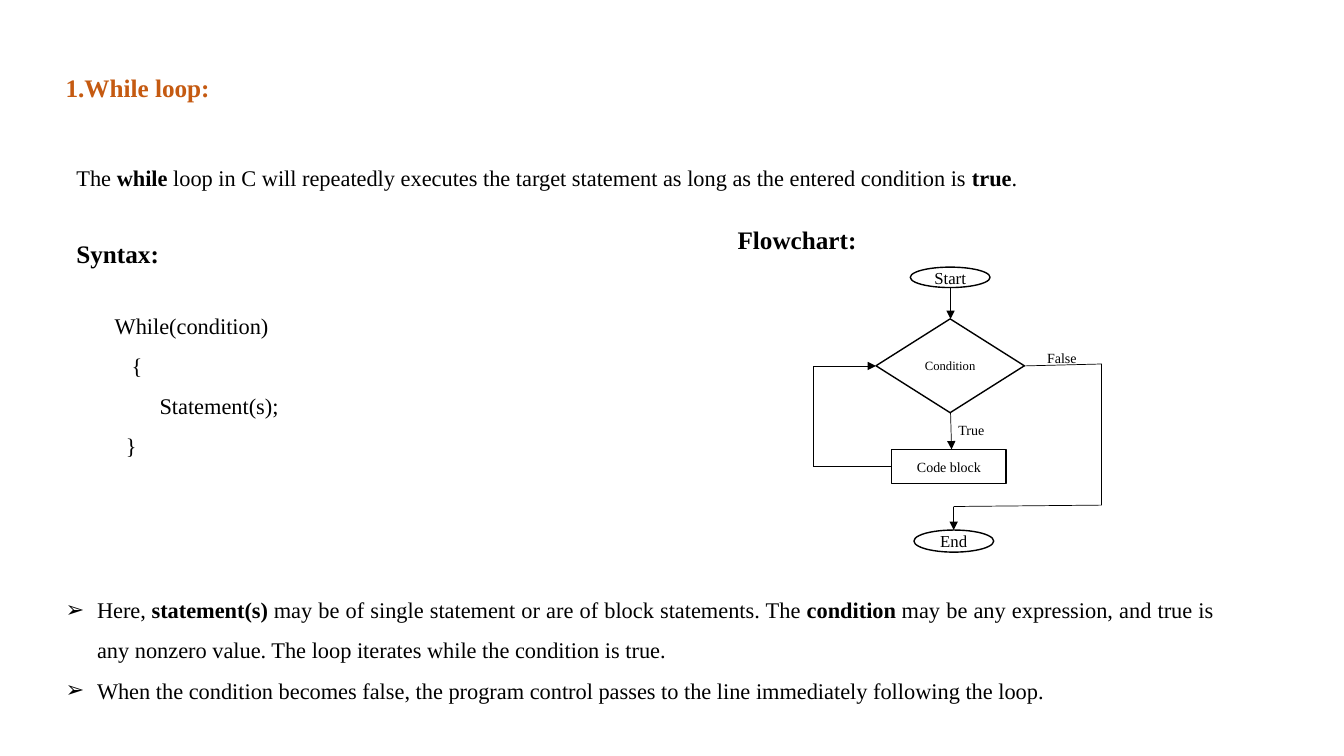
from itertools import pairwise

from lxml import etree
from pptx import Presentation
from pptx.dml.color import RGBColor
from pptx.enum.shapes import MSO_CONNECTOR, MSO_SHAPE
from pptx.enum.text import MSO_ANCHOR, MSO_AUTO_SIZE, PP_ALIGN
from pptx.oxml.ns import qn
from pptx.util import Pt

BLACK = RGBColor(0, 0, 0)
WHITE = RGBColor(255, 255, 255)
ORANGE = RGBColor(0xC5, 0x5A, 0x11)
FONT = "Times New Roman"
LEFT, CENTER, JUSTIFY = PP_ALIGN.LEFT, PP_ALIGN.CENTER, PP_ALIGN.JUSTIFY
TOP, MIDDLE = MSO_ANCHOR.TOP, MSO_ANCHOR.MIDDLE
OVAL, DIAMOND, BOX = MSO_SHAPE.OVAL, MSO_SHAPE.DIAMOND, MSO_SHAPE.RECTANGLE
STRAIGHT = MSO_CONNECTOR.STRAIGHT
NO_AUTOFIT = MSO_AUTO_SIZE.NONE

# Each paragraph is split at "*": every second part is bold.
TITLE = "1.While loop:"
INTRO = ("The *while *loop in C will repeatedly executes the target statement "
         "as long as the entered condition is *true*.")
NOTES = [
    "Here,\u00a0*statement(s)*\u00a0may be of single statement or are of block statements. "
    "The\u00a0*condition*\u00a0may be any expression, and true is any nonzero value. "
    "The loop iterates while the condition is true.",
    "When the condition becomes false, the program control passes to the line "
    "immediately following the loop.",
]
# Code lines and their indents in points
SYNTAX = {"While(condition)": 0, "{": 12, "Statement(s);": 32, "}": 8}

# Places are left, top, width, height in points
TITLE_PLACE = (39.6, 48.2, 141, 29)
NOTES_PLACE = (39.6, 412.6, 834.5, 91)
SYNTAX_PLACE = (74.9, 209.5, 163.5, 120)
LABELS = [
    (INTRO, (47.5, 113.8, 690.5, 26.6), {"size": 16, "align": JUSTIFY}),
    ("*Syntax:*", (47.5, 167, 97, 29), {"size": 18}),
    ("*Flowchart:*", (519.8, 157, 146, 29), {"size": 18}),
    ("False", (740.9, 246.2, 41, 19.4), {"size": 10}),
    ("True", (677.5, 297.4, 36, 19.4), {"size": 10}),
]
NODES = [
    ("Start", OVAL, (650.2, 190.8, 57, 14.6), 12),
    ("Condition", DIAMOND, (625.7, 227.8, 106, 67), 9),
    ("Code block", BOX, (637, 321, 81.6, 24.6), 10),
    ("End", OVAL, (652.8, 378.6, 57, 15.8), 12),
]
# Each route ends in an arrowhead
ROUTES = [
    [(679, 206), (679, 227.8)],
    [(679, 295), (679.7, 321)],
    [(637, 333.4), (581.2, 333.4), (581.2, 261.4), (625.7, 261.4)],
    [(731, 261.4), (787, 260), (787, 360.8), (681.2, 361.8), (681.2, 378.6)],
]


def write(shape, paragraphs, size=16, color=BLACK, bold=False, align=LEFT,
          anchor=TOP, spacing=1.0, wrap=True):
    """Fill a shape with formatted paragraphs."""
    frame = shape.text_frame
    frame.auto_size = NO_AUTOFIT
    frame.word_wrap = wrap
    frame.vertical_anchor = anchor
    for number, text in enumerate(paragraphs):
        paragraph = frame.add_paragraph() if number else frame.paragraphs[0]
        paragraph.alignment = align
        paragraph.line_spacing = spacing
        paragraph.space_before = Pt(0)
        for part, words in enumerate(text.split("*")):
            if words:
                run = paragraph.add_run()
                run.text = words
                run.font.name = FONT
                run.font.size = Pt(size)
                run.font.bold = bold or part % 2 == 1
                run.font.color.rgb = color


def points(place):
    """Turn numbers into point lengths."""
    return [Pt(value) for value in place]


def move(shape, place):
    """Set the place of a placeholder."""
    shape.left, shape.top, shape.width, shape.height = points(place)


def indent(paragraph, left, bullet=None):
    """Indent a paragraph, hanging it behind a bullet if there is one."""
    properties = paragraph._p.get_or_add_pPr()
    properties.set("marL", str(Pt(left)))
    properties.set("indent", str(Pt(-left if bullet else 0)))
    if bullet:
        etree.SubElement(properties, qn("a:buChar"), char=bullet)


def add_node(slide, text, outline, place, size):
    """Draw one flowchart step."""
    node = slide.shapes.add_shape(outline, *points(place))
    node.shadow.inherit = False
    node.fill.solid()
    node.fill.fore_color.rgb = WHITE
    node.line.color.rgb = BLACK
    node.line.width = Pt(1)
    write(node, [text], size=size, align=CENTER, anchor=MIDDLE, wrap=False)


def add_route(slide, stops):
    """Join the stops with lines and put an arrowhead on the last one."""
    for start, end in pairwise(stops):
        line = slide.shapes.add_connector(STRAIGHT, *points(start + end))
        line.line.color.rgb = BLACK
        line.line.width = Pt(0.5)
        if end == stops[-1]:
            etree.SubElement(line.line._get_or_add_ln(), qn("a:tailEnd"), type="triangle")
        etree.SubElement(line._element.spPr, qn("a:effectLst"))


def main():
    """Build the slide and save it."""
    deck = Presentation()
    deck.slide_width, deck.slide_height = Pt(960), Pt(540)
    slide = deck.slides.add_slide(deck.slide_layouts[1])
    title, notes = slide.placeholders

    move(title, TITLE_PLACE)
    write(title, [TITLE], size=18, color=ORANGE, bold=True)

    move(notes, NOTES_PLACE)
    write(notes, NOTES, align=JUSTIFY, spacing=1.5)
    for paragraph in notes.text_frame.paragraphs:
        indent(paragraph, 22.5, bullet="\u27a2")

    syntax = slide.shapes.add_textbox(*points(SYNTAX_PLACE))
    write(syntax, SYNTAX, spacing=1.5)
    for paragraph, left in zip(syntax.text_frame.paragraphs, SYNTAX.values()):
        indent(paragraph, left)

    for node in NODES:
        add_node(slide, *node)
    for stops in ROUTES:
        add_route(slide, stops)
    for text, place, style in LABELS:
        write(slide.shapes.add_textbox(*points(place)), [text], **style)

    deck.save("out.pptx")


main()
